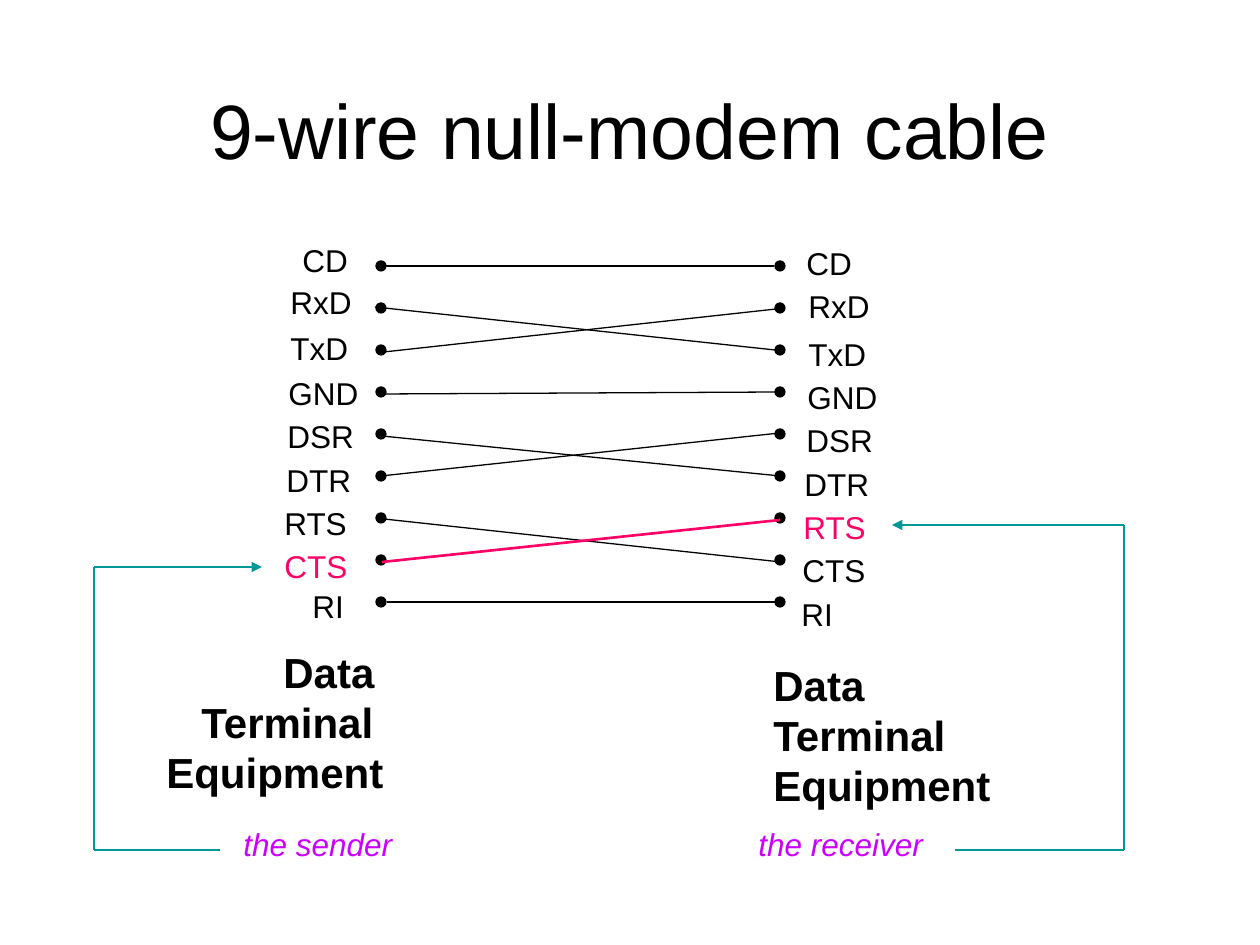
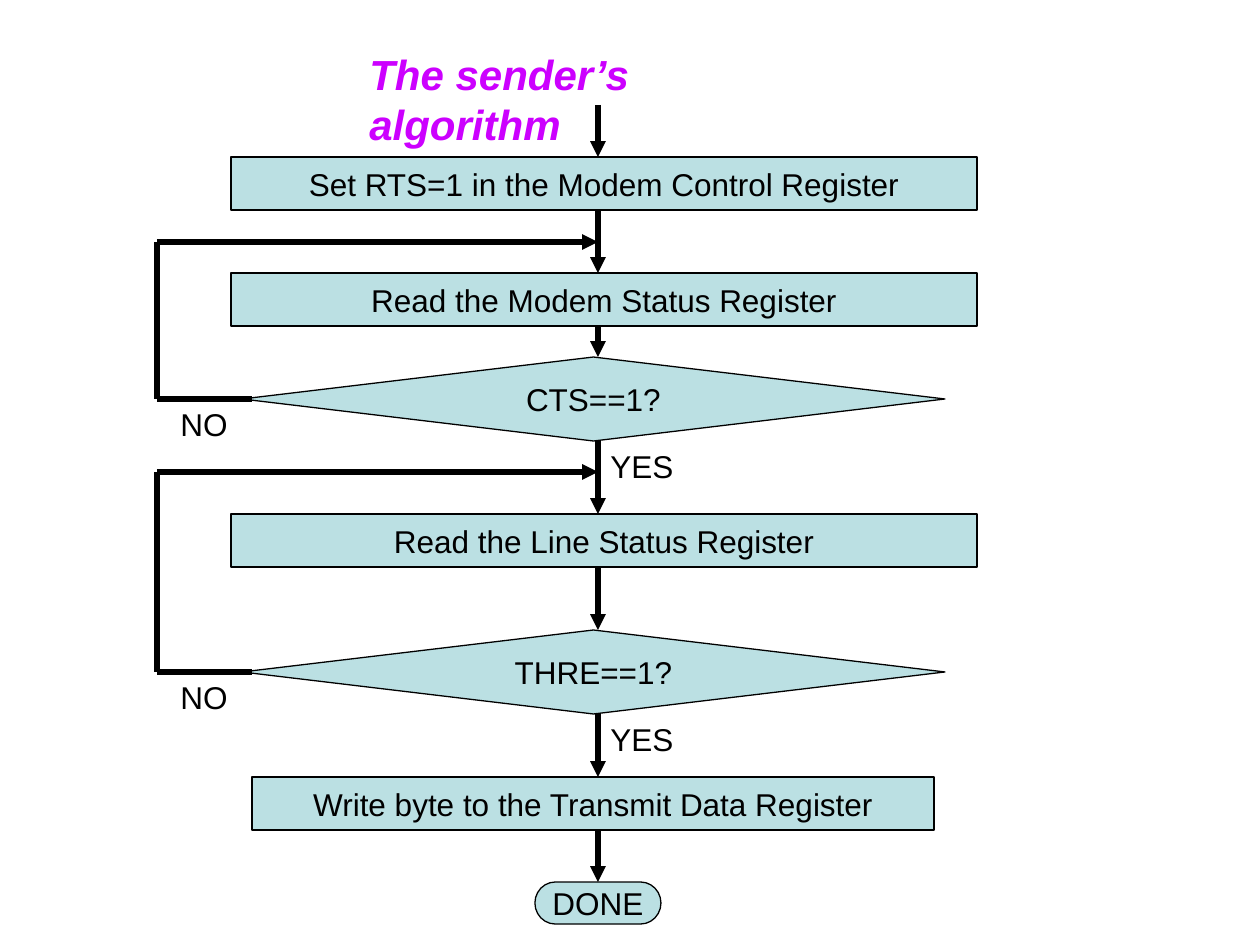
from lxml.etree import SubElement
from pptx import Presentation
from pptx.dml.color import RGBColor
from pptx.enum.shapes import MSO_CONNECTOR, MSO_SHAPE
from pptx.enum.text import MSO_ANCHOR, MSO_AUTO_SIZE, PP_ALIGN
from pptx.oxml.ns import qn
from pptx.util import Pt

PX = 914400 / 126
FONT = "Arial"
BLACK, WHITE, PINK = "000000", "FFFFFF", "FF0066"
PURPLE, TEAL, PALE = "CC00FF", "009999", "BBE0E3"

# Slide 1: signal, label width, left label x and y, right label x and y
SIGNALS = [
    ("CD", 74, (290, 235), (794, 238)),
    ("RxD", 89, (278, 277), (796, 281)),
    ("TxD", 86, (278, 323), (796, 329)),
    ("GND", 98, (276, 368), (795, 372)),
    ("DSR", 95, (275, 411), (794, 415)),
    ("DTR", 93, (274, 455), (792, 459)),
    ("RTS", 91, (272, 498), (791, 502)),
    ("CTS", 91, (272, 541), (790, 545)),
    ("RI", 60, (300, 581), (789, 589)),
]
HIGHLIGHT = ("CTS", "RTS")  # left pin, right pin
PIN_COLUMNS = (376, 775)
PIN_TOP, PIN_PITCH, PIN_SIZE = 261, 42, 10
WIRES = [  # left pin, right pin, left end, right end
    ("CD", "CD", (386, 266), (774, 266)),
    ("RxD", "TxD", (375, 307), (775, 350)),
    ("TxD", "RxD", (384, 352), (776, 309)),
    ("RI", "RI", (387, 602), (775, 602)),
    ("DSR", "DTR", (382, 436), (780, 476)),
    ("DTR", "DSR", (381, 476), (780, 433)),
    ("RTS", "CTS", (384, 519), (781, 562)),
    ("CTS", "RTS", (382, 562), (780, 520)),
    ("GND", "GND", (384, 394), (779, 392)),
]
EQUIPMENT = ["Data", "Terminal", "Equipment"]
EQUIPMENT_BOXES = [((154, 640), (117, 35, 0)), ((761, 653), (0, 0, 0))]
ROLES = [("the sender", (231, 819, 178, 50), None),
         ("the receiver", (746, 819, 194, 50), WHITE)]
ROLE_ROUTES = [
    [(220, 850), (94, 850), (94, 567), (262, 567)],
    [(955, 850), (1124, 850), (1124, 525), (892, 525)],
]

# Slide 2: flow steps from top to bottom
REGISTER_STEP = (MSO_SHAPE.RECTANGLE, 231, 746, 53)
DECISION = (MSO_SHAPE.FLOWCHART_DECISION, 242, 703, 84)
WRITE_STEP = (MSO_SHAPE.FLOWCHART_PROCESS, 252, 682, 53)
END = (MSO_SHAPE.FLOWCHART_TERMINATOR, 535, 126, 42)
STEPS = [
    ("Set RTS=1 in the Modem Control Register", REGISTER_STEP, 157),
    ("Read the Modem Status Register", REGISTER_STEP, 273),
    ("CTS==1?", DECISION, 357),
    ("Read the Line Status Register", REGISTER_STEP, 514),
    ("THRE==1?", DECISION, 630),
    ("Write byte to the Transmit Data Register", WRITE_STEP, 777),
    ("DONE", END, 882),
]
LOOP_TOPS = {"CTS==1?": 242, "THRE==1?": 472}
FLOW_X, FLOW_START, LOOP_X, LOOP_START = 598, 105, 157, 252


def px(value):
    return round(value * PX)


def rgb(color):
    return RGBColor.from_string(color)


def write(shape, lines, size=18, color=BLACK, bold=False, italic=False,
          align=PP_ALIGN.LEFT, indents=None):
    frame = shape.text_frame
    for index, line in enumerate(lines):
        paragraph = frame.add_paragraph() if index else frame.paragraphs[0]
        paragraph.alignment = align
        if indents and indents[index]:
            paragraph._p.get_or_add_pPr().set("marL", str(px(indents[index])))
        run = paragraph.add_run()
        run.text = line
        font = run.font
        font.name, font.size = FONT, Pt(size)
        font.bold, font.italic = bold, italic
        font.color.rgb = rgb(color)


def add_text(slide, lines, box, wrap=False, **style):
    shape = slide.shapes.add_textbox(*map(px, box))
    shape.text_frame.word_wrap = wrap
    if not wrap:
        shape.text_frame.auto_size = MSO_AUTO_SIZE.SHAPE_TO_FIT_TEXT
    write(shape, lines, **style)
    return shape


def add_filled(slide, kind, box, fill):
    shape = slide.shapes.add_shape(kind, *map(px, box))
    shape.shadow.inherit = False
    shape.fill.solid()
    shape.fill.fore_color.rgb = rgb(fill)
    shape.line.color.rgb = rgb(BLACK)
    shape.line.width = Pt(0.75)
    return shape


def add_line(slide, start, end, color=BLACK, width=0.75, arrow=False):
    line = slide.shapes.add_connector(MSO_CONNECTOR.STRAIGHT, *map(px, start + end))
    line.line.color.rgb = rgb(color)
    line.line.width = Pt(width)
    if arrow:
        SubElement(line.line._get_or_add_ln(), qn("a:tailEnd"), type="triangle")
    SubElement(line._element.spPr, qn("a:effectLst"))
    return line


def add_route(slide, points, **style):
    """Join points by straight lines, with an arrowhead on the last one."""
    last = len(points) - 2
    for index, (start, end) in enumerate(zip(points, points[1:])):
        add_line(slide, start, end, arrow=index == last, **style)


def build_cable(slide):
    title = add_text(slide, ["9-wire null-modem cable"], (63, 50, 1134, 158),
                     wrap=True, size=44, align=PP_ALIGN.CENTER)
    title.text_frame.vertical_anchor = MSO_ANCHOR.MIDDLE

    for left in PIN_COLUMNS:
        for row in range(len(SIGNALS)):
            top = PIN_TOP + row * PIN_PITCH
            add_filled(slide, MSO_SHAPE.OVAL, (left, top, PIN_SIZE, PIN_SIZE), BLACK)
    for left_pin, right_pin, start, end in WIRES:
        marked = (left_pin, right_pin) == HIGHLIGHT
        add_line(slide, start, end, PINK if marked else BLACK, 1.5 if marked else 0.75)

    for name, width, *corners in SIGNALS:
        for corner, marked_name in zip(corners, HIGHLIGHT):
            add_text(slide, [name], (*corner, width, 50),
                     color=PINK if name == marked_name else BLACK)
    for corner, indents in EQUIPMENT_BOXES:
        add_text(slide, EQUIPMENT, (*corner, 246, 164), size=24, bold=True,
                 indents=indents)
    for role, box, border in ROLES:
        shape = add_text(slide, [role], box, color=PURPLE, italic=True)
        if border:
            shape.line.color.rgb = rgb(border)
            shape.line.width = Pt(0.75)
    for points in ROLE_ROUTES:
        add_route(slide, points, color=TEAL)


def build_algorithm(slide):
    add_text(slide, ["The sender’s algorithm"], (357, 42, 476, 63), wrap=True,
             size=24, color=PURPLE, bold=True, italic=True)
    previous_bottom = FLOW_START
    for label, (kind, left, width, height), top in STEPS:
        step = add_filled(slide, kind, (left, top, width, height), PALE)
        step.text_frame.word_wrap = False
        step.text_frame.vertical_anchor = MSO_ANCHOR.MIDDLE
        write(step, [label], align=PP_ALIGN.CENTER)
        arrow = add_line(slide, (FLOW_X, previous_bottom), (FLOW_X, top),
                         width=3, arrow=True)
        if left + width / 2 == FLOW_X:
            arrow.end_connect(step, 0)
        previous_bottom = top + height
        if label in LOOP_TOPS:
            middle, loop_top = top + height // 2, LOOP_TOPS[label]
            add_route(slide, [(LOOP_START, middle), (LOOP_X, middle),
                              (LOOP_X, loop_top), (FLOW_X, loop_top)], width=3)
            add_text(slide, ["NO"], (168, middle, 78, 50))
            add_text(slide, ["YES"], (FLOW_X, previous_bottom, 92, 50))


def main():
    presentation = Presentation()
    presentation.slide_width, presentation.slide_height = px(1260), px(945)
    for build in (build_cable, build_algorithm):
        build(presentation.slides.add_slide(presentation.slide_layouts[6]))
    presentation.save("out.pptx")


if __name__ == "__main__":
    main()
